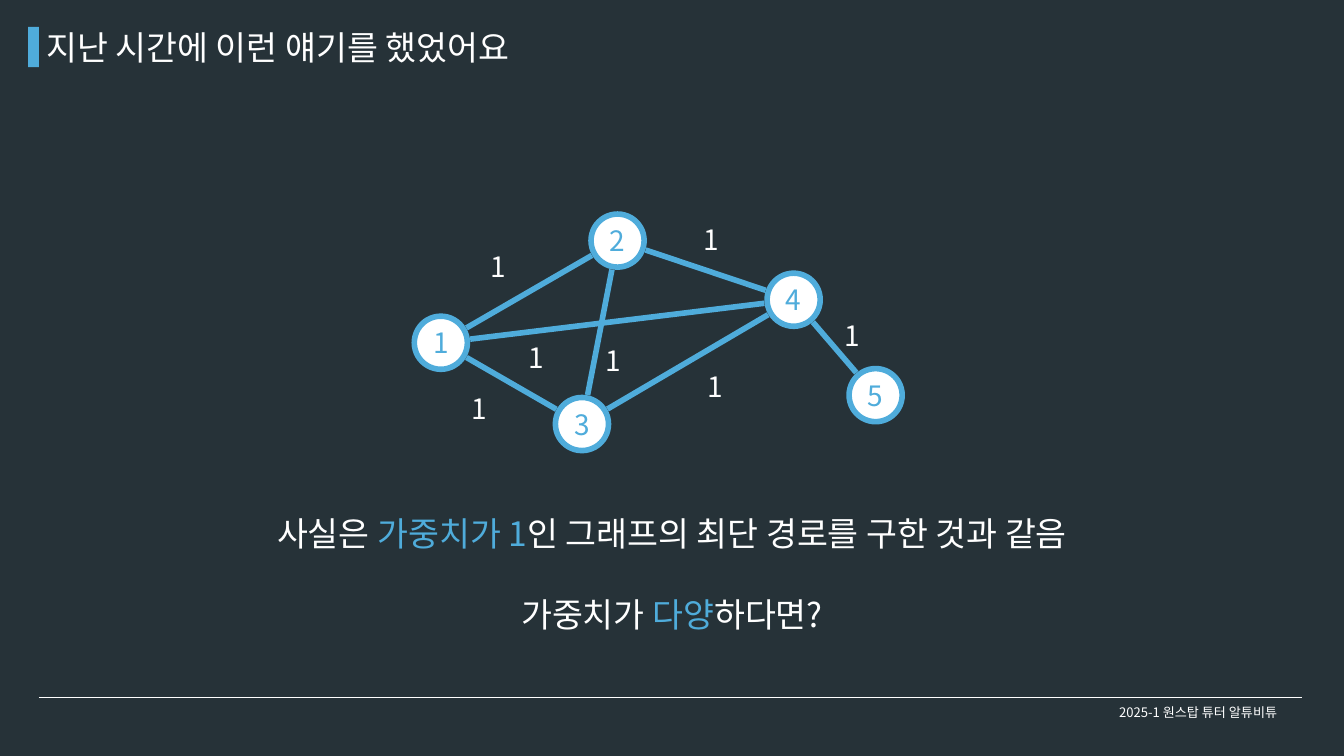
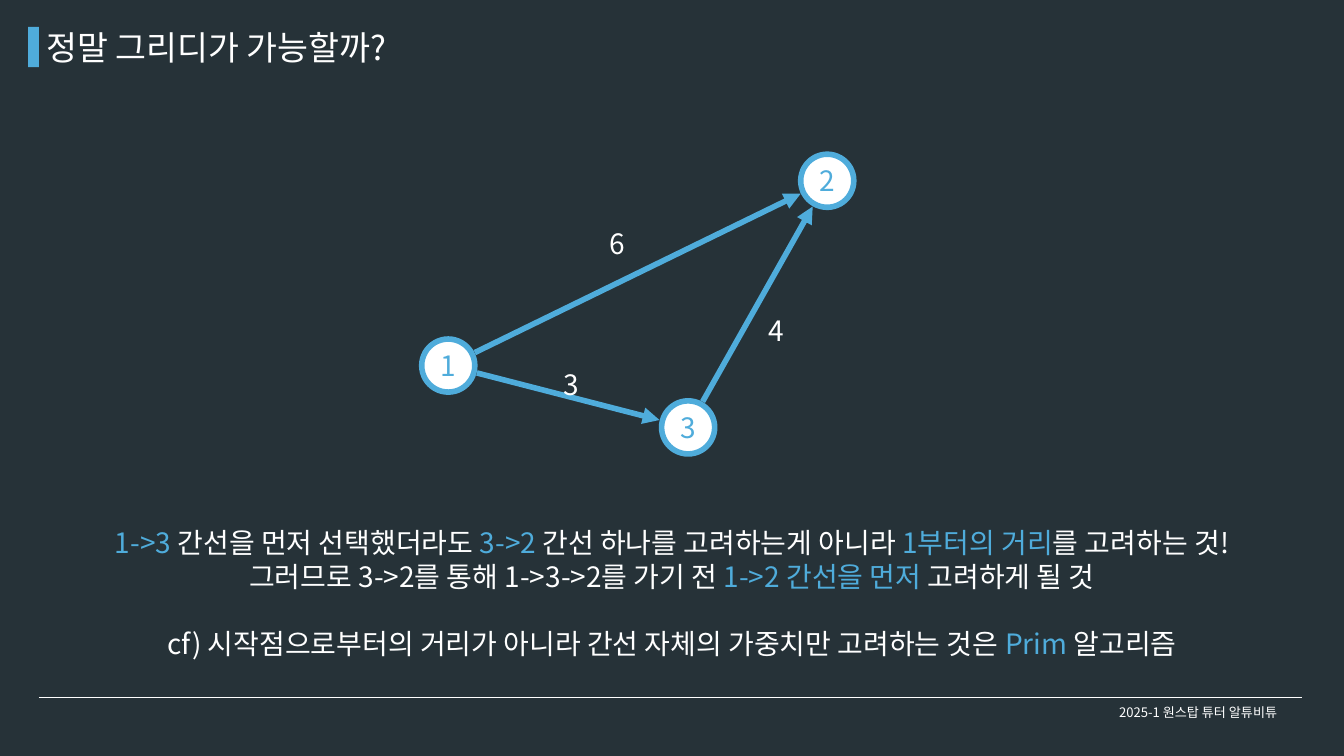
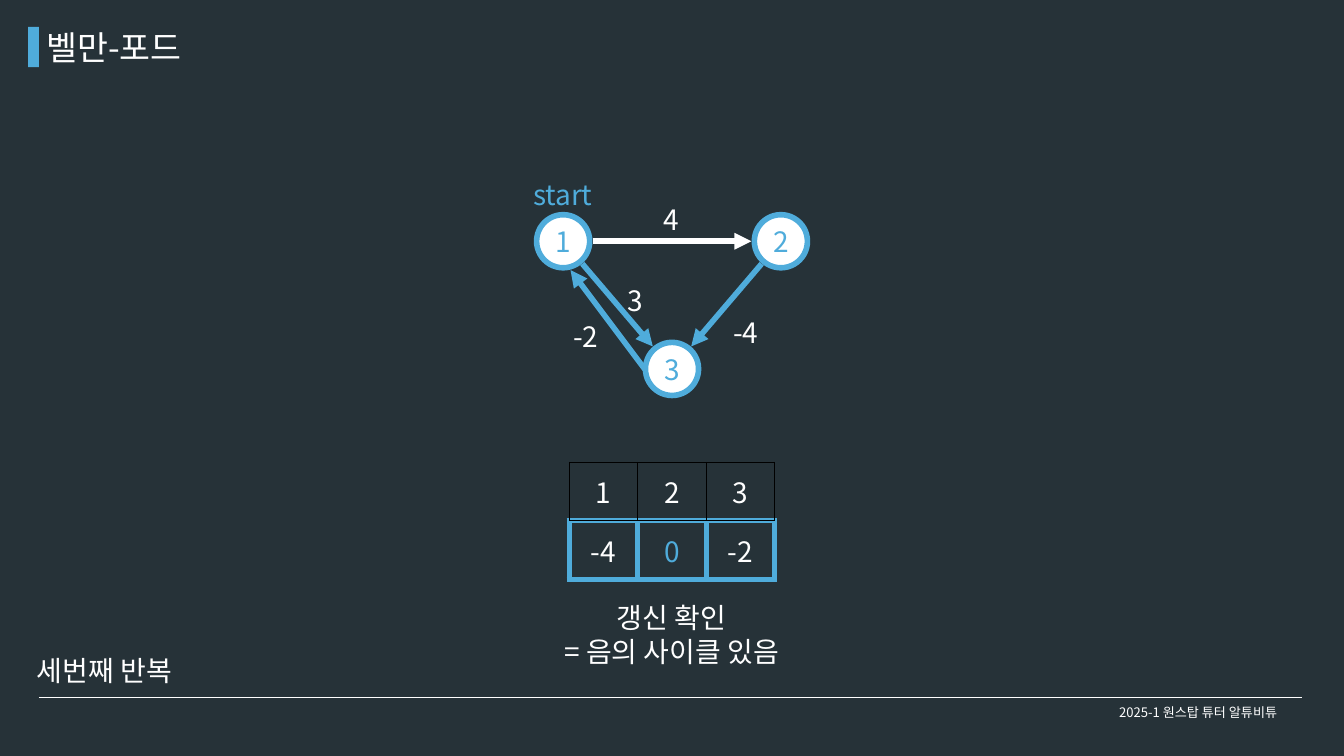
from math import hypot

from lxml import etree
from pptx import Presentation
from pptx.dml.color import RGBColor
from pptx.enum.shapes import MSO_CONNECTOR, MSO_SHAPE
from pptx.enum.text import MSO_ANCHOR, PP_ALIGN
from pptx.oxml.ns import qn
from pptx.util import Inches, Pt

STRAIGHT = MSO_CONNECTOR.STRAIGHT
RECTANGLE, OVAL = MSO_SHAPE.RECTANGLE, MSO_SHAPE.OVAL
TOP, MIDDLE = MSO_ANCHOR.TOP, MSO_ANCHOR.MIDDLE
LEFT, CENTER = PP_ALIGN.LEFT, PP_ALIGN.CENTER

COLORS = {"back": "263238", "accent": "4FACDB", "plain": "FFFFFF", "grid": "000000"}
FONT = "Noto Sans CJK KR"
COLUMNS, ROWS = 20, 11.25
UNIT = Inches(1)
INSET = 0.05
LINE_HEIGHT = 1.22
NODE_SIZE = 0.79
EDGE_GAP = 0.44
STROKE = 6
FOOTER = "2025-1 원스탑 튜터 알튜비튜"


def grid(*lengths):
    return [int(length * UNIT) for length in lengths]


def color(name):
    return RGBColor.from_string(COLORS[name])


def write_para(para, spans, size, align=LEFT, first="plain"):
    para.alignment = align
    names = ("plain", "accent") if first == "plain" else ("accent", "plain")
    for index, text in enumerate(spans):
        span = para.add_run()
        span.text = text
        span.font.size = Pt(size)
        span.font.name = FONT
        span.font.color.rgb = color(names[index % 2])
        etree.SubElement(span.font._element, qn("a:ea"), typeface=FONT)


def add_text(page, place, paragraphs, size=30, align=LEFT, anchor=TOP,
             first="plain", wrap=True, spaced=()):
    frame = page.shapes.add_textbox(*grid(*place)).text_frame
    frame.word_wrap = wrap
    frame.vertical_anchor = anchor
    frame.margin_left, frame.margin_top, frame.margin_right, frame.margin_bottom = grid(*[INSET] * 4)
    for index, spans in enumerate(paragraphs):
        para = frame.add_paragraph() if index else frame.paragraphs[0]
        if index in spaced:
            para.space_before = Pt(size * LINE_HEIGHT)
        write_para(para, spans, size, align, first if index == 0 else "plain")


def add_figure(page, preset, place, fill):
    figure = page.shapes.add_shape(preset, *grid(*place))
    figure.shadow.inherit = False
    figure.fill.solid()
    figure.fill.fore_color.rgb = color(fill)
    figure.line.fill.background()
    return figure


def add_line(page, start, end, name="accent", width=STROKE, arrow=False):
    line = page.shapes.add_connector(STRAIGHT, *grid(*start, *end))
    line.line.color.rgb = color(name)
    line.line.width = Pt(width)
    if arrow:
        etree.SubElement(line.line._get_or_add_ln(), qn("a:tailEnd"), type="triangle")
    etree.SubElement(line._element.spPr, qn("a:effectLst"))


def add_node(page, label, center):
    x, y = center
    place = (x - NODE_SIZE / 2, y - NODE_SIZE / 2, NODE_SIZE, NODE_SIZE)
    node = add_figure(page, OVAL, place, "plain")
    node.line.color.rgb = color("accent")
    node.line.width = Pt(STROKE)
    frame = node.text_frame
    frame.word_wrap = False
    frame.vertical_anchor = MIDDLE
    frame.margin_left = frame.margin_top = frame.margin_right = frame.margin_bottom = 0
    write_para(frame.paragraphs[0], [label], 30, CENTER, "accent")


def add_edge(page, start, end, **style):
    (x1, y1), (x2, y2) = start, end
    share = EDGE_GAP / hypot(x2 - x1, y2 - y1)
    dx, dy = (x2 - x1) * share, (y2 - y1) * share
    add_line(page, (x1 + dx, y1 + dy), (x2 - dx, y2 - dy), **style)


def add_graph(page, nodes, edges, weights, arrow=False, highlight=()):
    for edge in edges:
        start, end = edge
        add_edge(page, nodes[start], nodes[end], arrow=arrow,
                 name="plain" if edge in highlight else "accent")
    for label, center in nodes.items():
        add_node(page, label, center)
    for x, y, weight in weights:
        width = 0.2 + 0.17 * len(weight)
        add_text(page, (x, y, width, 0.57), [[weight]], wrap=False)


def add_border(cell, name, width):
    properties = cell._tc.get_or_add_tcPr()
    for index, side in enumerate(("lnL", "lnR", "lnT", "lnB")):
        border = etree.Element(qn(f"a:{side}"), w=str(Pt(width)))
        fill = etree.SubElement(border, qn("a:solidFill"))
        etree.SubElement(fill, qn("a:srgbClr"), val=COLORS[name])
        properties.insert(index, border)


def add_row(page, place, values, border, width, accent=()):
    table = page.shapes.add_table(1, len(values), *grid(*place)).table
    table.first_row = table.horz_banding = False
    for index, value in enumerate(values):
        cell = table.cell(0, index)
        cell.fill.background()
        cell.vertical_anchor = MIDDLE
        cell.margin_left, cell.margin_top, cell.margin_right, cell.margin_bottom = grid(*[INSET] * 4)
        write_para(cell.text_frame.paragraphs[0], [value], 30, CENTER,
                   "accent" if index in accent else "plain")
        add_border(cell, border, width)


def add_page(deck, title):
    page = deck.slides.add_slide(deck.slide_layouts[6])
    add_line(page, (0.58, 10.38), (19.37, 10.38), name="plain", width=0.75)
    add_figure(page, RECTANGLE, (0.42, 0.4, 0.16, 0.6), "accent")
    add_text(page, (15.88, 10.44, 3.9, 0.32), [[FOOTER]], size=14, align=CENTER, anchor=MIDDLE)
    add_text(page, (0.64, 0.35, 9.4, 0.65), [[title]], size=36)
    return page


def build_unit_weights(deck):
    page = add_page(deck, "지난 시간에 이런 얘기를 했었어요")
    nodes = {"1": (6.56, 5.1), "2": (9.19, 3.58), "3": (8.66, 6.31),
             "4": (11.81, 4.46), "5": (13.03, 5.88)}
    places = [(7.25, 3.66), (6.97, 5.78), (8.96, 5.06), (7.81, 5.02),
              (10.48, 5.45), (12.52, 4.69), (10.42, 3.26)]
    add_graph(page, nodes, ["42", "32", "12", "13", "41", "43", "54"],
              [(x, y, "1") for x, y in places])
    add_text(page, (2.05, 7.58, 15.9, 1.79), [
        ["사실은 ", "가중치가 1", "인 그래프의 최단 경로를 구한 것과 같음"],
        ["가중치가 ", "다양", "하다면?"],
    ], size=36, align=CENTER, spaced=[1])


def build_greedy(deck):
    page = add_page(deck, "정말 그리디가 가능할까?")
    nodes = {"1": (6.67, 5.44), "2": (12.31, 2.69), "3": (10.24, 6.36)}
    add_graph(page, nodes, ["12", "13", "32"],
              [(11.38, 4.61, "4"), (8.33, 5.42, "3"), (9.02, 3.32, "6")], arrow=True)
    add_text(page, (1.49, 7.77, 17.02, 2.03), [
        ["1->3 ", "간선을 먼저 선택했더라도 ", "3->2 ", "간선 하나를 고려하는게 아니라 ",
         "1부터의 거리", "를 고려하는 것!"],
        ["그러므로 3->2를 통해 1->3->2를 가기 전 ", "1->2 간선을 먼저 ", "고려하게 될 것"],
        ["cf) 시작점으로부터의 거리가 아니라 간선 자체의 가중치만 고려하는 것은 ", "Prim ", "알고리즘"],
    ], align=CENTER, first="accent", spaced=[2])


def build_bellman_ford(deck):
    page = add_page(deck, "벨만-포드")
    nodes = {"1": (8.38, 3.59), "2": (11.62, 3.59), "3": (10, 5.49)}
    add_line(page, (9.6, 5.5), (8.49, 4.02), arrow=True)
    add_graph(page, nodes, ["12", "13", "23"],
              [(9.82, 2.96, "4"), (9.29, 4.17, "3"), (8.48, 4.7, "-2"), (10.86, 4.64, "-4")],
              arrow=True, highlight=["12"])
    add_text(page, (7.48, 2.59, 1.79, 0.57), [["start"]], align=CENTER, first="accent")
    left, top, width, height = 8.47, 6.88, 3.06, 0.87
    add_row(page, (left, top + height, width, height), ["-4", "0", "-2"], "accent", STROKE, accent=[1])
    add_row(page, (left, top, width, height), ["1", "2", "3"], "grid", 1)
    add_text(page, (0.5, 9.67, 11.34, 0.57), [["세번째 반복"]])
    add_text(page, (6.31, 8.89, 7.37, 1.06), [["갱신 확인"], ["= 음의 사이클 있음"]], align=CENTER)


def main():
    deck = Presentation()
    deck.slide_width, deck.slide_height = grid(COLUMNS, ROWS)
    backdrop = deck.slide_master.background.fill
    backdrop.solid()
    backdrop.fore_color.rgb = color("back")
    build_unit_weights(deck)
    build_greedy(deck)
    build_bellman_ford(deck)
    deck.save("out.pptx")


if __name__ == "__main__":
    main()
